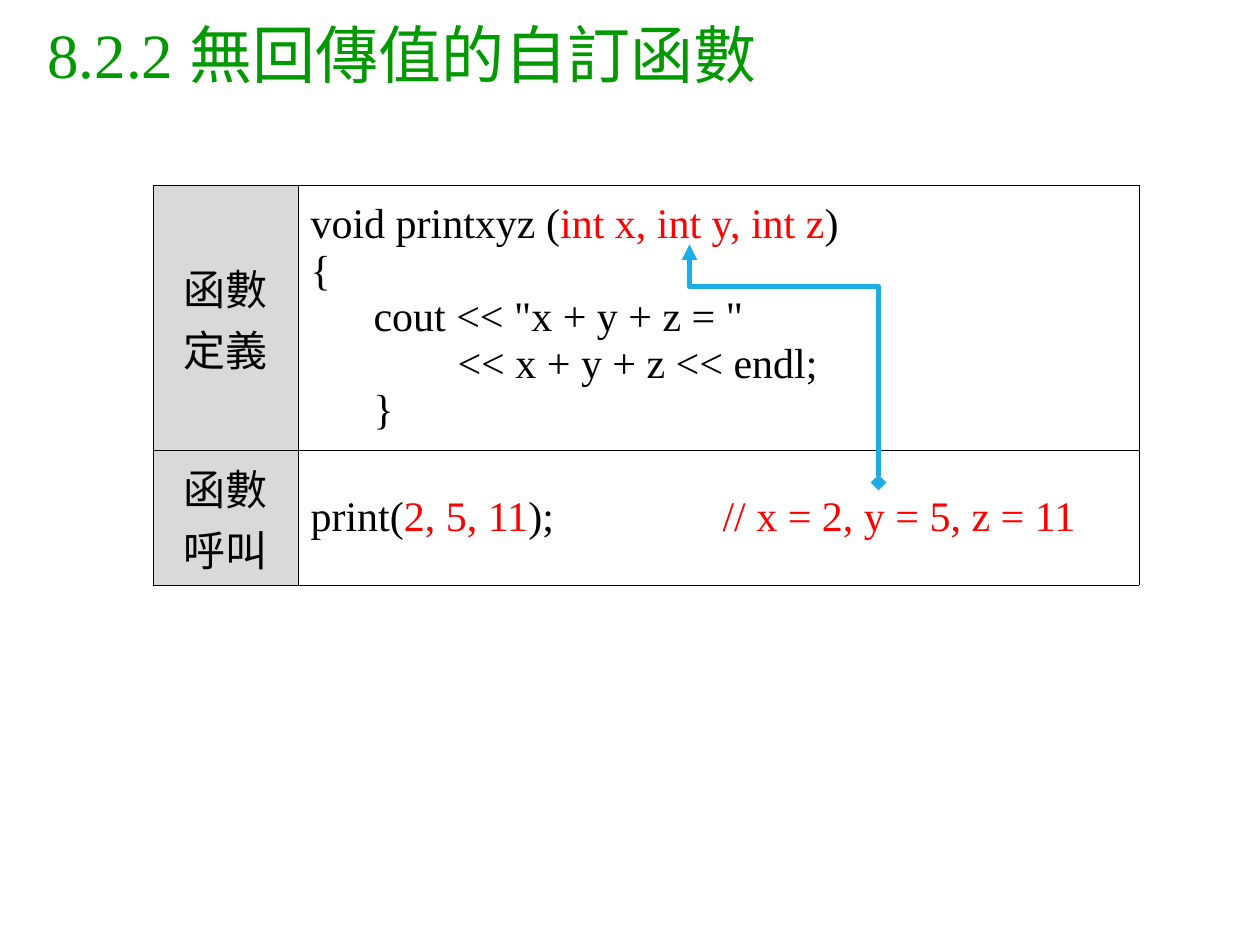
from dataclasses import dataclass

from lxml.etree import SubElement
from pptx import Presentation
from pptx.dml.color import RGBColor
from pptx.enum.shapes import MSO_CONNECTOR
from pptx.enum.text import MSO_ANCHOR, PP_ALIGN
from pptx.oxml.ns import qn
from pptx.util import Pt

PIXEL = 914400 // 126
FONT = "Times New Roman"
BLACK = RGBColor(0x00, 0x00, 0x00)
RED = RGBColor(0xFF, 0x00, 0x00)
GREEN = RGBColor(0x00, 0x99, 0x00)
GRAY = RGBColor(0xD9, 0xD9, 0xD9)
BLUE = RGBColor(0x1C, 0xAD, 0xE4)


@dataclass(frozen=True)
class Run:
    text: str
    color: RGBColor = BLACK


@dataclass(frozen=True)
class Line:
    runs: tuple[Run, ...]
    indent: int = 0
    tab: int = 0


@dataclass(frozen=True)
class Row:
    label: tuple[str, str]
    code: tuple[Line, ...]
    height: int


ROWS = (
    Row(("函數", "定義"), (
        Line((Run("void printxyz ("), Run("int x, int y, int z", RED), Run(")"))),
        Line((Run("{"),)),
        Line((Run('cout << "x + y + z = "'),), indent=63),
        Line((Run("<< x + y + z << endl;"),), indent=147),
        Line((Run("}"),), indent=63),
    ), 265),
    Row(("函數", "呼叫"), (
        Line((Run("print("), Run("2, 5, 11", RED), Run(");\t"),
              Run("// x = 2, y = 5, z = 11", RED)), tab=412),
    ), 135),
)
COLUMN_WIDTHS = (145, 841)


def px(length: int) -> int:
    return length * PIXEL


def add_run(paragraph, run: Run, size: int = 24) -> None:
    text_run = paragraph.add_run()
    text_run.text = run.text
    text_run.font.name = FONT
    text_run.font.size = Pt(size)
    text_run.font.color.rgb = run.color


def add_title(slide) -> None:
    shape = slide.shapes.add_textbox(px(35), px(-2), px(1181), px(110))
    frame = shape.text_frame
    frame.word_wrap = True
    frame.vertical_anchor = MSO_ANCHOR.MIDDLE
    add_run(frame.paragraphs[0], Run("8.2.2 無回傳值的自訂函數", GREEN), 36)


def add_borders(cell) -> None:
    properties = cell._tc.get_or_add_tcPr()
    for side in ("L", "R", "T", "B"):
        border = SubElement(properties, qn(f"a:ln{side}"), w=str(Pt(0.45)))
        fill = SubElement(border, qn("a:solidFill"))
        SubElement(fill, qn("a:srgbClr"), val=str(BLACK))


def write_label(cell, label: tuple[str, str]) -> None:
    cell.fill.solid()
    cell.fill.fore_color.rgb = GRAY
    paragraph = cell.text_frame.paragraphs[0]
    paragraph.alignment = PP_ALIGN.CENTER
    add_run(paragraph, Run(label[0]))
    paragraph.add_line_break()
    add_run(paragraph, Run(label[1]))


def write_code(cell, lines: tuple[Line, ...]) -> None:
    cell.fill.background()
    frame = cell.text_frame
    for index, line in enumerate(lines):
        paragraph = frame.add_paragraph() if index else frame.paragraphs[0]
        properties = paragraph._p.get_or_add_pPr()
        if line.indent:
            properties.set("marL", str(px(line.indent)))
            properties.set("indent", "0")
        if line.tab:
            tabs = SubElement(properties, qn("a:tabLst"))
            SubElement(tabs, qn("a:tab"), pos=str(px(line.tab)), algn="l")
        for run in line.runs:
            add_run(paragraph, run)


def add_code_table(slide) -> None:
    table = slide.shapes.add_table(
        len(ROWS), len(COLUMN_WIDTHS), px(153), px(185),
        px(sum(COLUMN_WIDTHS)), px(sum(row.height for row in ROWS))).table
    table.first_row = False
    table.horz_banding = False
    for column, width in zip(table.columns, COLUMN_WIDTHS):
        column.width = px(width)
    for index, row in enumerate(ROWS):
        table.rows[index].height = px(row.height)
        label_cell, code_cell = table.rows[index].cells
        for cell in (label_cell, code_cell):
            cell.vertical_anchor = MSO_ANCHOR.MIDDLE
            add_borders(cell)
        write_label(label_cell, row.label)
        write_code(code_cell, row.code)


def add_argument_arrow(slide) -> None:
    left, top, width, height = 665, 269, 238, 189
    connector = slide.shapes.add_connector(
        MSO_CONNECTOR.ELBOW, px(left), px(top + height), px(left + width), px(top))
    connector.line.color.rgb = BLUE
    connector.line.width = Pt(3)
    properties = connector._element.spPr
    properties.find(qn("a:xfrm")).set("rot", str(270 * 60000))
    adjustments = properties.find(qn("a:prstGeom")).find(qn("a:avLst"))
    SubElement(adjustments, qn("a:gd"), name="adj1", fmla="val 82200")
    line = properties.find(qn("a:ln"))
    SubElement(line, qn("a:headEnd"), type="diamond")
    SubElement(line, qn("a:tailEnd"), type="triangle")
    SubElement(properties, qn("a:effectLst"))


def main() -> None:
    presentation = Presentation()
    presentation.slide_width = px(1260)
    presentation.slide_height = px(945)
    slide = presentation.slides.add_slide(presentation.slide_layouts[6])
    add_title(slide)
    add_code_table(slide)
    add_argument_arrow(slide)
    presentation.save("out.pptx")


main()
